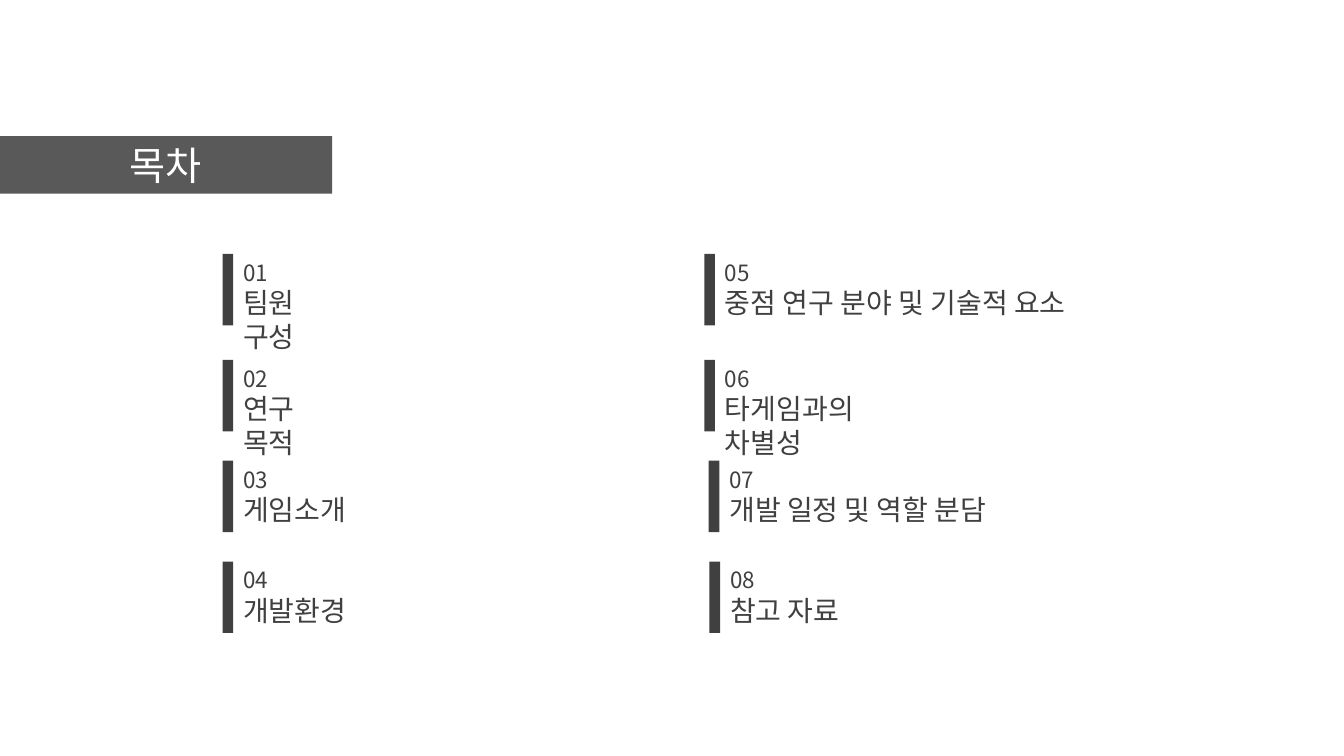
from dataclasses import dataclass

from lxml.etree import SubElement
from pptx import Presentation
from pptx.dml.color import RGBColor
from pptx.enum.shapes import MSO_SHAPE as Shape
from pptx.enum.text import MSO_ANCHOR as Anchor, MSO_AUTO_SIZE as AutoSize, PP_ALIGN as Align
from pptx.oxml.ns import qn
from pptx.shapes.autoshape import Shape as AutoShape
from pptx.slide import Slide
from pptx.text.text import _Paragraph as Paragraph
from pptx.util import Cm, Pt

FONT = "Noto Sans CJK KR"
WHITE = RGBColor(0xFF, 0xFF, 0xFF)
BANNER_GRAY = RGBColor(0x59, 0x59, 0x59)
DARK_GRAY = RGBColor(0x40, 0x40, 0x40)

# Shared measures in centimetres
ROW_TOPS = (6.4, 9.07, 11.61, 14.15)
ENTRY_HEIGHT = 1.8
BAR_WIDTH = 0.27


@dataclass
class Entry:
    topic: str
    left: float
    text_width: float


ENTRIES = (
    Entry("팀원 구성", 5.61, 3.18),
    Entry("연구 목적", 5.61, 3.18),
    Entry("게임소개", 5.61, 3.3),
    Entry("개발환경", 5.61, 3.3),
    Entry("중점 연구 분야 및 기술적 요소", 17.75, 9.5),
    Entry("타게임과의 차별성", 17.75, 5.7),
    Entry("개발 일정 및 역할 분담", 17.86, 7.3),
    Entry("참고 자료", 17.88, 3.5),
)


def style(paragraph: Paragraph, text: str, size: int, color: RGBColor) -> None:
    paragraph.text = text
    font = paragraph.font
    font.size = Pt(size)
    font.color.rgb = color
    font.name = FONT
    # Korean glyphs take the East Asian typeface
    defaults = paragraph._p.pPr.find(qn("a:defRPr"))
    SubElement(defaults, qn("a:ea")).set("typeface", FONT)


def add_block(slide: Slide, left: float, top: float, width: float,
              height: float, color: RGBColor) -> AutoShape:
    block = slide.shapes.add_shape(Shape.RECTANGLE, Cm(left), Cm(top), Cm(width), Cm(height))
    block.shadow.inherit = False
    block.fill.solid()
    block.fill.fore_color.rgb = color
    block.line.fill.background()
    return block


def add_entry(slide: Slide, number: int, entry: Entry) -> None:
    top = ROW_TOPS[(number - 1) % len(ROW_TOPS)]
    add_block(slide, entry.left, top, BAR_WIDTH, ENTRY_HEIGHT, DARK_GRAY)
    label = slide.shapes.add_textbox(Cm(entry.left + BAR_WIDTH), Cm(top),
                                     Cm(entry.text_width), Cm(ENTRY_HEIGHT))
    frame = label.text_frame
    frame.word_wrap = True
    frame.auto_size = AutoSize.SHAPE_TO_FIT_TEXT
    style(frame.paragraphs[0], f"{number:02}", 16, DARK_GRAY)
    style(frame.add_paragraph(), entry.topic, 20, DARK_GRAY)


def main() -> None:
    deck = Presentation()
    deck.slide_width, deck.slide_height = Cm(33.87), Cm(19.05)
    slide = deck.slides.add_slide(deck.slide_layouts[6])

    # Heading banner
    banner = add_block(slide, -0.03, 3.43, 8.4, 1.45, BANNER_GRAY)
    banner.text_frame.vertical_anchor = Anchor.MIDDLE
    heading = banner.text_frame.paragraphs[0]
    heading.alignment = Align.CENTER
    style(heading, "목차", 28, WHITE)

    # Contents in two columns, filled downwards
    for number, entry in enumerate(ENTRIES, start=1):
        add_entry(slide, number, entry)

    deck.save("out.pptx")


if __name__ == "__main__":
    main()
